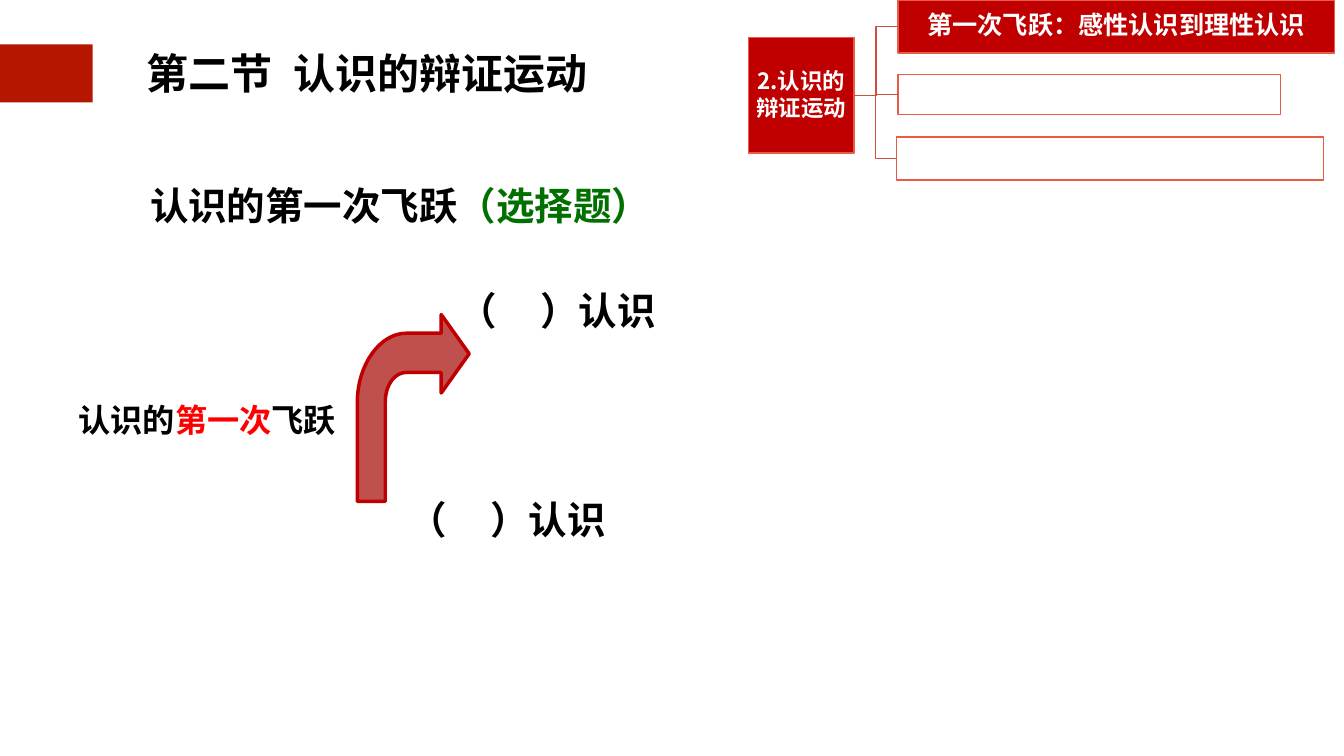
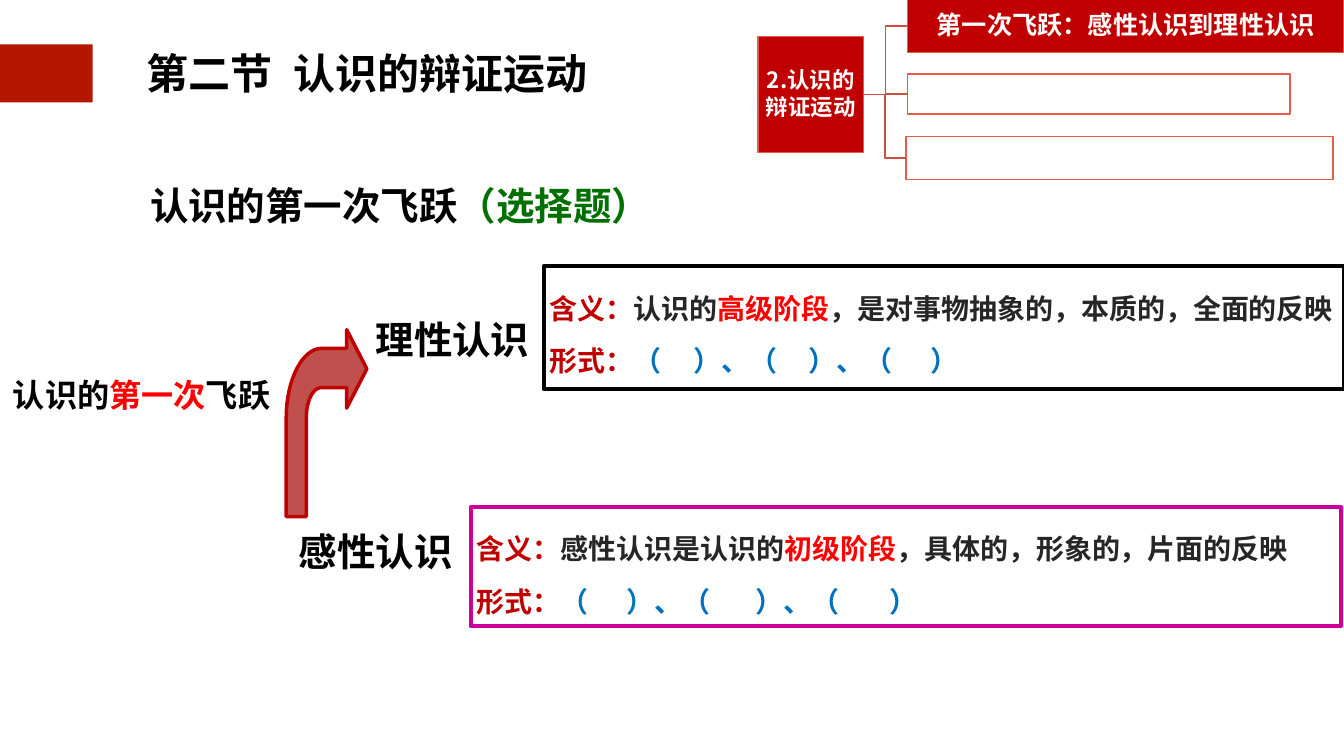
from dataclasses import dataclass

from lxml.etree import SubElement
from pptx import Presentation
from pptx.dml.color import RGBColor
from pptx.enum.shapes import MSO_CONNECTOR as Connector, MSO_SHAPE as Preset
from pptx.enum.text import MSO_ANCHOR as Anchor, MSO_AUTO_SIZE as AutoSize, PP_ALIGN as Align
from pptx.oxml.ns import qn
from pptx.util import Inches, Pt

# The page is a grid of one-inch cells.
COLUMNS, ROWS = 26.67, 15

BLACK = RGBColor(0x00, 0x00, 0x00)
WHITE = RGBColor(0xFF, 0xFF, 0xFF)
BAND_RED = RGBColor(0xB5, 0x16, 0x00)
DEEP_RED = RGBColor(0xC0, 0x00, 0x00)
BRIGHT_RED = RGBColor(0xFF, 0x00, 0x00)
ARROW_RED = RGBColor(0xC0, 0x50, 0x4D)
EDGE_RED = RGBColor(0xE7, 0x5B, 0x47)
BRANCH_RED = RGBColor(0xCC, 0x50, 0x3E)
GREEN = RGBColor(0x02, 0x70, 0x01)
MAGENTA = RGBColor(0xCC, 0x00, 0x99)
INK = RGBColor(0x26, 0x26, 0x26)
BLUE = RGBColor(0x00, 0x70, 0xC0)
TEAL_BLUE = RGBColor(0x00, 0x76, 0xBA)

TITLE_FONT = "Roboto"
TEXT_FONT = "Noto Sans CJK SC"

# Topic boxes: offset from the root box, then width and height.
TOPICS = [(2.97, -0.74, 8.66, 1.05), (2.97, 0.74, 7.59, 0.79), (2.94, 1.98, 8.47, 0.85)]


@dataclass
class Span:
    text: str
    color: RGBColor = BLACK
    tracking: float = 0  # extra width after each character, in ems


def answer_blank(gap, color=BLACK):
    """Brackets around an empty space that the class fills in."""
    return [Span("（", color), Span(" ", color, gap), Span("）", color)]


def place(left, top, width, height):
    return Inches(left), Inches(top), Inches(width), Inches(height)


def write(frame, lines, size, font=TEXT_FONT, align=Align.LEFT, anchor=Anchor.TOP,
          inset=0.1, wrap=True, line_spacing=None, before=0, after=0):
    """Fill a text frame with lines, each a list of spans."""
    frame.auto_size = AutoSize.NONE
    frame.word_wrap = wrap
    frame.vertical_anchor = anchor
    frame.margin_left = frame.margin_right = Inches(inset)
    frame.margin_top = frame.margin_bottom = Inches(inset)
    for index, spans in enumerate(lines):
        para = frame.add_paragraph() if index else frame.paragraphs[0]
        para.alignment = align
        para.space_before = Pt(before if index else 0)
        para.space_after = Pt(after)
        if line_spacing:
            para.line_spacing = line_spacing
        for span in spans:
            run = para.add_run()
            run.text = span.text
            run.font.size = Pt(size)
            run.font.bold = True
            run.font.color.rgb = span.color
            run.font.name = font
            properties = run._r.get_or_add_rPr()
            SubElement(properties, qn("a:ea")).set("typeface", font)
            if span.tracking:
                properties.set("spc", str(round(span.tracking * size * 100)))


def paint(shape, fill, line=None, width=0):
    shape.shadow.inherit = False
    shape.fill.solid()
    shape.fill.fore_color.rgb = fill
    if line is None:
        shape.line.fill.background()
    else:
        shape.line.color.rgb = line
        shape.line.width = Pt(width)


def add_box(page, area, fill, line=None, width=0, preset=Preset.RECTANGLE):
    box = page.shapes.add_shape(preset, *place(*area))
    paint(box, fill, line, width)
    return box


def add_text(page, area, spans, size, line_spacing):
    box = page.shapes.add_textbox(*place(*area))
    write(box.text_frame, [spans], size, line_spacing=line_spacing)


def add_stage(page, area, spans):
    """Name of a stage of knowledge, on a white rounded plate."""
    plate = add_box(page, area, WHITE, preset=Preset.ROUNDED_RECTANGLE)
    plate.adjustments[0] = 0.19
    write(plate.text_frame, [spans], 55, align=Align.CENTER, anchor=Anchor.MIDDLE, inset=0.12)


def add_definition(page, area, edge, meaning, forms):
    box = add_box(page, area, WHITE, edge, 6)
    lines = [[Span("含义：", DEEP_RED), *meaning], [Span("形式：", DEEP_RED), *forms]]
    write(box.text_frame, lines, 40, align=Align.JUSTIFY, inset=0.12,
          line_spacing=Pt(70), before=5)
    box.text_frame.margin_top = Inches(0.19)


def curve(start, first, second, end, steps=16):
    """Points of a cubic curve after its start."""
    points = []
    for step in range(1, steps + 1):
        t = step / steps
        u = 1 - t
        weights = (u ** 3, 3 * u * u * t, 3 * u * t * t, t ** 3)
        corners = (start, first, second, end)
        points.append(tuple(sum(w * c[axis] for w, c in zip(weights, corners))
                            for axis in (0, 1)))
    return points


def add_leap_arrow(page, left, top, width, height):
    """Arrow that rises and bends right; its outline is in shares of its box."""
    outline = [
        (0, 0.47),
        *curve((0, 0.47), (0, 0.27), (0.2, 0.1), (0.44, 0.1)),
        (0.75, 0.1), (0.75, 0), (1, 0.21), (0.75, 0.42), (0.75, 0.31), (0.44, 0.31),
        *curve((0.44, 0.31), (0.33, 0.31), (0.25, 0.38), (0.25, 0.47)),
        (0.25, 1),
    ]
    points = [(Inches(left + x * width), Inches(top + y * height)) for x, y in outline]
    builder = page.shapes.build_freeform(Inches(left), Inches(top + height))
    builder.add_line_segments(points, close=True)
    paint(builder.convert_to_shape(), ARROW_RED, DEEP_RED, 5)


def add_outline_map(page, left, top):
    """Section box that branches to its three topics; the first is current."""
    root = add_box(page, (left, top, 2.1, 2.3), DEEP_RED, EDGE_RED, 2)
    write(root.text_frame, [[Span("2.认识的", WHITE)], [Span("辩证运动", WHITE)]], 32,
          align=Align.CENTER, anchor=Anchor.MIDDLE, inset=0.02, line_spacing=0.9, after=4)
    for index, (dx, dy, width, height) in enumerate(TOPICS):
        fill = WHITE if index else DEEP_RED
        topic = add_box(page, (left + dx, top + dy, width, height), fill, EDGE_RED, 2)
        if index == 0:
            write(topic.text_frame, [[Span("第一次飞跃：感性认识到理性认识", WHITE)]], 36,
                  align=Align.CENTER, anchor=Anchor.MIDDLE, inset=0.03,
                  line_spacing=0.9, after=4)
        branch = page.shapes.add_connector(Connector.ELBOW, 0, 0, 0, 0)
        branch.begin_connect(root, 3)
        branch.end_connect(topic, 1)
        branch.line.color.rgb = BRANCH_RED
        branch.line.width = Pt(2)
        SubElement(branch._element.spPr, qn("a:effectLst"))


def add_section_page(deck):
    """Page with the band, section title and heading that all pages share."""
    page = deck.slides.add_slide(deck.slide_layouts[5])
    add_box(page, (-0.03, 0.88, 1.87, 1.15), BAND_RED)
    title = page.shapes.title
    title.left, title.top, title.width, title.height = place(2.83, 0.81, 8.92, 1.28)
    spans = [Span("第二节"), Span(" ", tracking=0.25), Span("认识的辩证运动")]
    write(title.text_frame, [spans], 60, TITLE_FONT, Align.CENTER, Anchor.MIDDLE, 0.06, False)
    add_text(page, (2.88, 3.01, 15.64, 1.26),
             [Span("认识的第一次飞跃"), Span("（选择题）", GREEN)], 55, Pt(102))
    return page


def add_leap(page, label_left, label_top, arrow):
    add_leap_arrow(page, *arrow)
    add_text(page, (label_left, label_top, 7.24, 1.1),
             [Span("认识的"), Span("第一次", BRIGHT_RED), Span("飞跃")], 46, Pt(58))


def add_question_page(deck):
    page = add_section_page(deck)
    stage = [*answer_blank(0.9), Span("认识")]
    add_stage(page, (7.73, 9.56, 4.67, 1.47), stage)
    add_stage(page, (8.46, 5.34, 5.2, 1.64), stage)
    add_leap(page, 1.46, 7.81, (7.09, 6.24, 2.22, 3.71))
    add_outline_map(page, 14.85, 0.74)


def add_meaning_page(deck):
    page = add_section_page(deck)
    add_stage(page, (5.36, 10.28, 4.2, 1.32), [Span("感性认识")])
    add_stage(page, (6.88, 6.06, 4.2, 1.32), [Span("理性认识")])
    comma = Span("、", BLUE)
    add_definition(
        page, (9.34, 10.06, 17.27, 2.36), MAGENTA,
        [Span("感性认识是认识的", INK), Span("初级阶段", BRIGHT_RED),
         Span("，具体的，形象的，片面的反映", INK)],
        [*answer_blank(1.14, TEAL_BLUE), comma, *answer_blank(1.36, BLUE), comma,
         *answer_blank(1.59, BLUE)])
    add_definition(
        page, (10.79, 5.28, 15.89, 2.44), BLACK,
        [Span("认识的", INK), Span("高级阶段", BRIGHT_RED),
         Span("，是对事物抽象的，本质的，全面的反映", INK)],
        [*answer_blank(0.9, BLUE), comma, *answer_blank(0.9, BLUE), comma,
         *answer_blank(1.14, BLUE)])
    add_leap(page, 0.16, 7.31, (5.68, 6.54, 1.6, 3.71))
    add_outline_map(page, 15.04, 0.73)


def main():
    deck = Presentation()
    deck.slide_width, deck.slide_height = Inches(COLUMNS), Inches(ROWS)
    add_question_page(deck)
    add_meaning_page(deck)
    deck.save("out.pptx")


if __name__ == "__main__":
    main()
